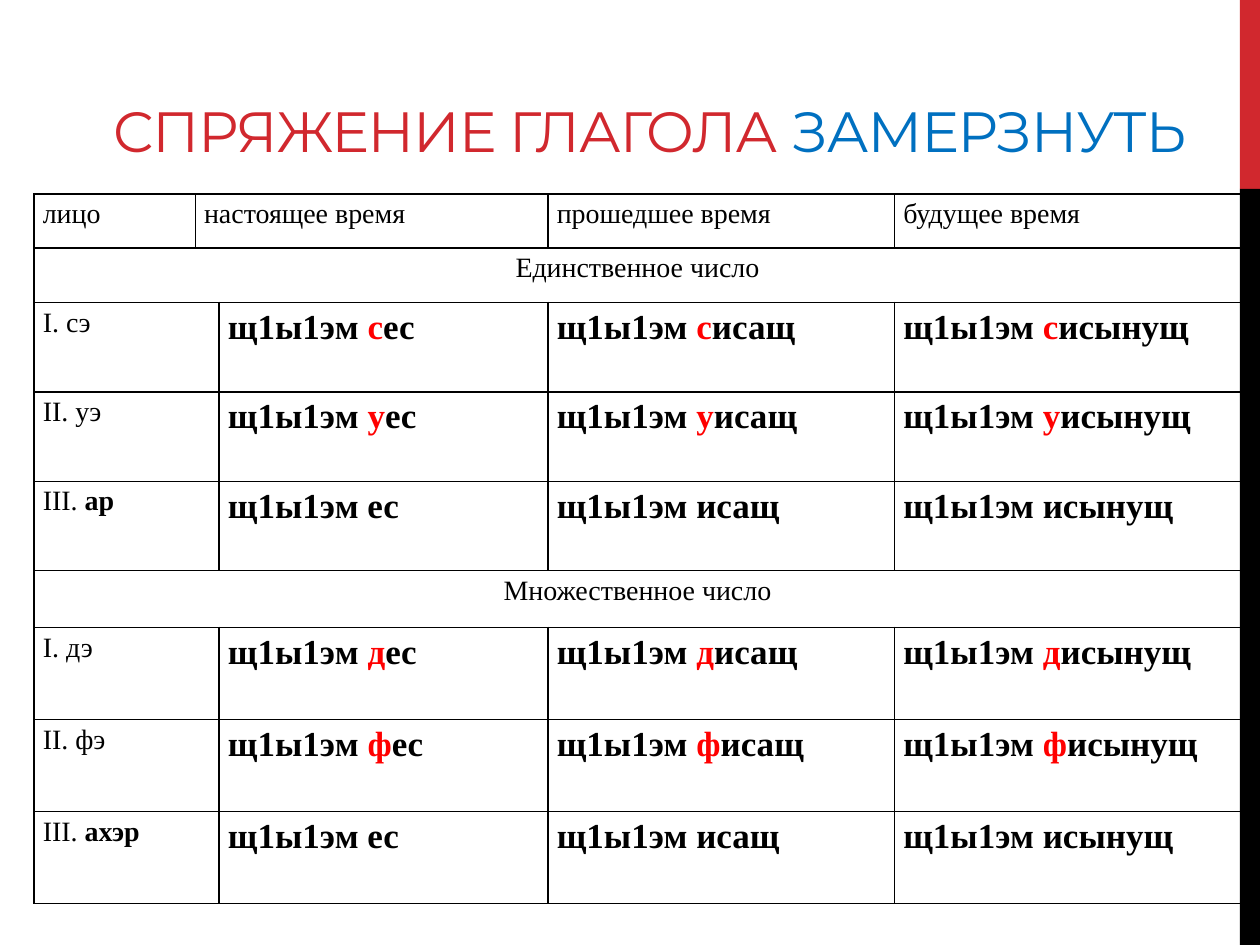
import pptx
import pptx.util
import pptx.dml.color
import pptx.enum.shapes
import pptx.enum.text
import pptx.oxml
import pptx.oxml.ns

Inches = pptx.util.Inches
Pt = pptx.util.Pt
ALIGN = pptx.enum.text.PP_ALIGN

COLORS = {"red": "D1282E", "blue": "0070C0", "mark": "FF0000", "black": "000000"}
HEADS = ["лицо", "настоящее время", "прошедшее время", "будущее время"]
STEM = "щ1ы1эм "
ENDS = ["ес", "исащ", "исынущ"]
GROUPS = [
    ("Единственное число", [("I. сэ", "", "с"), ("II. уэ", "", "у"), ("III. ", "ар", "")]),
    ("Множественное число", [("I. дэ", "", "д"), ("II. фэ", "", "ф"), ("III. ", "ахэр", "")]),
]
COLS = [1.28, 0.19, 2.61, 2.75, 2.75]
ROWS = [0.43, 0.43, 0.71, 0.71, 0.71, 0.45, 0.73, 0.73, 0.73]


def color(name):
    return pptx.dml.color.RGBColor.from_string(COLORS[name])


def add_bar(slide, top, height, name):
    bar = slide.shapes.add_shape(
        pptx.enum.shapes.MSO_SHAPE.RECTANGLE,
        Inches(9.84), Inches(top), Inches(0.16), Inches(height))
    bar.shadow.inherit = False
    bar.fill.solid()
    bar.fill.fore_color.rgb = color(name)
    bar.line.fill.background()


def add_title(slide, parts):
    box = slide.shapes.add_textbox(Inches(0.51), Inches(0.21), Inches(9.29), Inches(1.14))
    frame = box.text_frame
    frame.word_wrap = True
    frame.vertical_anchor = pptx.enum.text.MSO_ANCHOR.BOTTOM
    para = frame.paragraphs[0]
    para.alignment = ALIGN.CENTER
    para.font.size = Pt(32.4)
    para.font.name = "Montserrat"
    for text, name in parts:
        run = para.add_run()
        run.text = text
        run.font.color.rgb = color(name)
        run.font._element.set("spc", "-60")


def add_edges(cell):
    props = cell._tc.get_or_add_tcPr()
    for side in ("lnL", "lnR", "lnT", "lnB"):
        props.append(pptx.oxml.parse_xml(
            f'<a:{side} {pptx.oxml.ns.nsdecls("a")} w="12700"><a:solidFill>'
            f'<a:srgbClr val="{COLORS["black"]}"/></a:solidFill></a:{side}>'))


def style_cell(cell):
    add_edges(cell)
    cell.fill.background()
    cell.margin_left = cell.margin_right = Inches(0.07)
    cell.margin_top = cell.margin_bottom = 0


def fill_cell(cell, parts, size=16, align=ALIGN.JUSTIFY):
    para = cell.text_frame.paragraphs[0]
    para.alignment = align
    para.line_spacing = 1.15
    para.font.size = Pt(size)
    para.font.name = "Times New Roman"
    for text, bold, name in parts:
        if text:
            run = para.add_run()
            run.text = text
            run.font.bold = bold
            run.font.color.rgb = color(name)


def fill_verb(cell, mark, end):
    fill_cell(cell, [(STEM, True, "black"), (mark, True, "mark"), (end, True, "black")], 20)


def add_table(slide):
    frame = slide.shapes.add_table(
        len(ROWS), len(COLS), Inches(0.27), Inches(1.54),
        Inches(sum(COLS)), Inches(sum(ROWS)))
    table = frame.table
    table.first_row = table.horz_banding = False
    for col, width in zip(table.columns, COLS):
        col.width = Inches(width)
    for row, height in zip(table.rows, ROWS):
        row.height = Inches(height)
    for cell in table.iter_cells():
        style_cell(cell)
    return table


def fill_table(table):
    table.cell(0, 1).merge(table.cell(0, 2))
    for col, head in zip((0, 1, 3, 4), HEADS):
        fill_cell(table.cell(0, col), [(head, False, "black")])
    row = 1
    for label, people in GROUPS:
        table.cell(row, 0).merge(table.cell(row, 4))
        fill_cell(table.cell(row, 0), [(label, False, "black")], align=ALIGN.CENTER)
        for row, (plain, strong, mark) in enumerate(people, row + 1):
            table.cell(row, 0).merge(table.cell(row, 1))
            fill_cell(table.cell(row, 0), [(plain, False, "black"), (strong, True, "black")])
            for col, end in enumerate(ENDS, 2):
                fill_verb(table.cell(row, col), mark, end)
        row += 1


def main():
    deck = pptx.Presentation()
    deck.slide_width = Inches(10)
    deck.slide_height = Inches(7.5)
    slide = deck.slides.add_slide(deck.slide_layouts[6])
    add_bar(slide, 0, 1.5, "red")
    add_bar(slide, 1.5, 6, "black")
    add_title(slide, [("СПРЯЖЕНИЕ ГЛАГОЛА ", "red"), ("ЗАМЕРЗНУТЬ", "blue")])
    fill_table(add_table(slide))
    deck.save("out.pptx")


if __name__ == "__main__":
    main()
